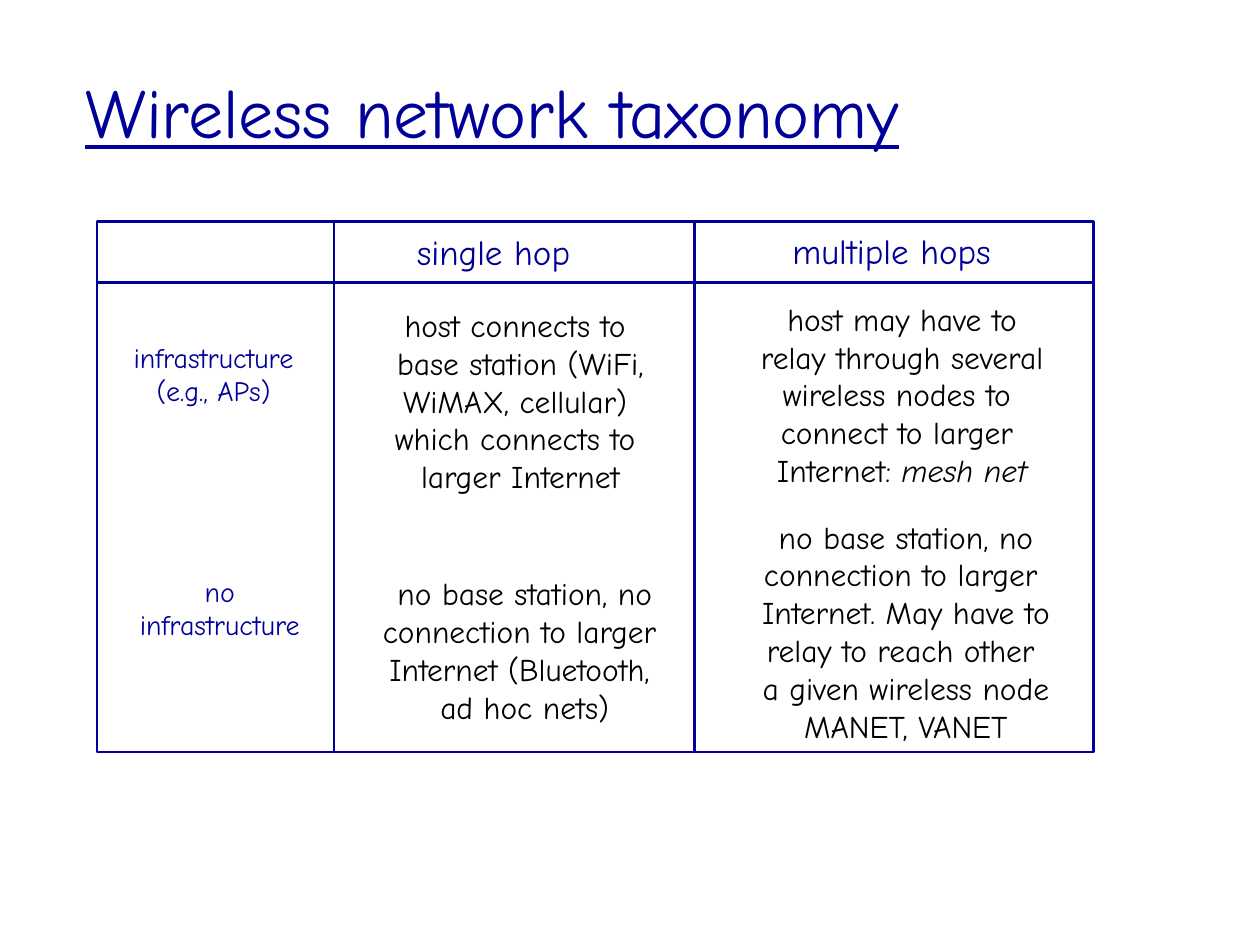
from dataclasses import dataclass

from lxml.etree import SubElement
from pptx import Presentation
from pptx.dml.color import RGBColor
from pptx.enum.shapes import MSO_CONNECTOR, MSO_SHAPE
from pptx.enum.text import MSO_ANCHOR, MSO_AUTO_SIZE, PP_ALIGN
from pptx.oxml.ns import qn
from pptx.util import Inches, Pt


@dataclass(frozen=True)
class Theme:
    """Colours, font and sizes of the slide."""
    font: str = "Comic Neue"
    accent: RGBColor = RGBColor(0x00, 0x00, 0x99)
    body: RGBColor = RGBColor(0x00, 0x00, 0x00)
    title_size: int = 40
    heading_size: int = 20
    label_size: int = 16
    body_size: int = 18
    line_width: float = 1.5


THEME = Theme()

HEADINGS = [
    ((2.44, 0.02, 1.42, 0.44), "single hop"),
    ((5.42, 0.01, 1.8, 0.44), "multiple hops"),
]
ROW_LABELS = [
    ((0.19, 0.89, 1.47, 0.64), "infrastructure\n(e.g., APs)"),
    ((0.24, 2.75, 1.47, 0.64), "no\ninfrastructure"),
]
DESCRIPTIONS = [
    ((2.26, 0.62, 2.2, 1.6),
     "host connects to \nbase station (WiFi,\nWiMAX, cellular) \n"
     "which connects to \nlarger Internet", ""),
    ((2.16, 2.75, 2.47, 1.3),
     "no base station, no\nconnection to larger \n"
     "Internet (Bluetooth, \nad hoc nets)", ""),
    ((5.16, 0.57, 2.46, 1.6),
     "host may have to\nrelay through several\nwireless nodes to \n"
     "connect to larger \nInternet: ", "mesh net"),
    ((5.17, 2.3, 2.5, 1.9),
     "no base station, no\nconnection to larger \nInternet. May have to\n"
     "relay to reach other \na given wireless node\nMANET, VANET", ""),
]


def add_text(slide, box, text, size, color, align=PP_ALIGN.CENTER, italic_ending=""):
    """Add an unwrapped text box with one paragraph per line and return it."""
    shape = slide.shapes.add_textbox(*map(Inches, box))
    text_frame = shape.text_frame
    text_frame.text = text
    text_frame.word_wrap = False
    text_frame.auto_size = MSO_AUTO_SIZE.SHAPE_TO_FIT_TEXT
    if italic_ending:
        ending = text_frame.paragraphs[-1].add_run()
        ending.text = italic_ending
        ending.font.italic = True
    for paragraph in text_frame.paragraphs:
        paragraph.alignment = align
        for run in paragraph.runs:
            run.font.name = THEME.font
            run.font.size = Pt(size)
            run.font.color.rgb = color
    return shape


def add_title(slide, box):
    """Add the underlined slide title."""
    shape = add_text(slide, box, "Wireless network taxonomy", THEME.title_size,
                     THEME.accent, PP_ALIGN.LEFT)
    text_frame = shape.text_frame
    text_frame.auto_size = MSO_AUTO_SIZE.NONE
    text_frame.word_wrap = True
    text_frame.vertical_anchor = MSO_ANCHOR.MIDDLE
    text_frame.paragraphs[0].runs[0].font.underline = True


def add_rule(slide, start, end):
    """Add a straight grid line between two points."""
    connector = slide.shapes.add_connector(
        MSO_CONNECTOR.STRAIGHT, *map(Inches, (*start, *end)))
    connector.line.color.rgb = THEME.accent
    connector.line.width = Pt(THEME.line_width)
    SubElement(connector._element.spPr, qn("a:effectLst"))


def add_grid(slide, box, header_height, column_edges):
    """Draw the frame, the header rule and the column rules."""
    left, top, width, height = box
    frame = slide.shapes.add_shape(MSO_SHAPE.RECTANGLE, *map(Inches, box))
    frame.shadow.inherit = False
    frame.fill.background()
    frame.line.color.rgb = THEME.accent
    frame.line.width = Pt(THEME.line_width)
    header_bottom = top + header_height
    add_rule(slide, (left, header_bottom), (left + width, header_bottom))
    for edge in column_edges:
        add_rule(slide, (left + edge, top), (left + edge, top + height))


def add_taxonomy(slide, box):
    """Add the headings, row labels, descriptions and grid inside the box."""
    left, top = box[:2]

    def place(offset_left, offset_top, width, height):
        """Shift a box from the grid to the slide."""
        return left + offset_left, top + offset_top, width, height

    for area, text in HEADINGS:
        add_text(slide, place(*area), text, THEME.heading_size, THEME.accent,
                 PP_ALIGN.LEFT)
    for area, text in ROW_LABELS:
        add_text(slide, place(*area), text, THEME.label_size, THEME.accent)
    for area, text, ending in DESCRIPTIONS:
        add_text(slide, place(*area), text, THEME.body_size, THEME.body,
                 italic_ending=ending)
    add_grid(slide, box, header_height=0.48, column_edges=(1.88, 4.74))


def main():
    """Build and save the slide."""
    presentation = Presentation()
    presentation.slide_width = Inches(10)
    presentation.slide_height = Inches(7.5)
    slide = presentation.slides.add_slide(presentation.slide_layouts[6])
    add_title(slide, (0.58, 0.25, 8.5, 1.25))
    add_taxonomy(slide, (0.77, 1.76, 7.91, 4.21))
    presentation.save("out.pptx")


if __name__ == "__main__":
    main()
